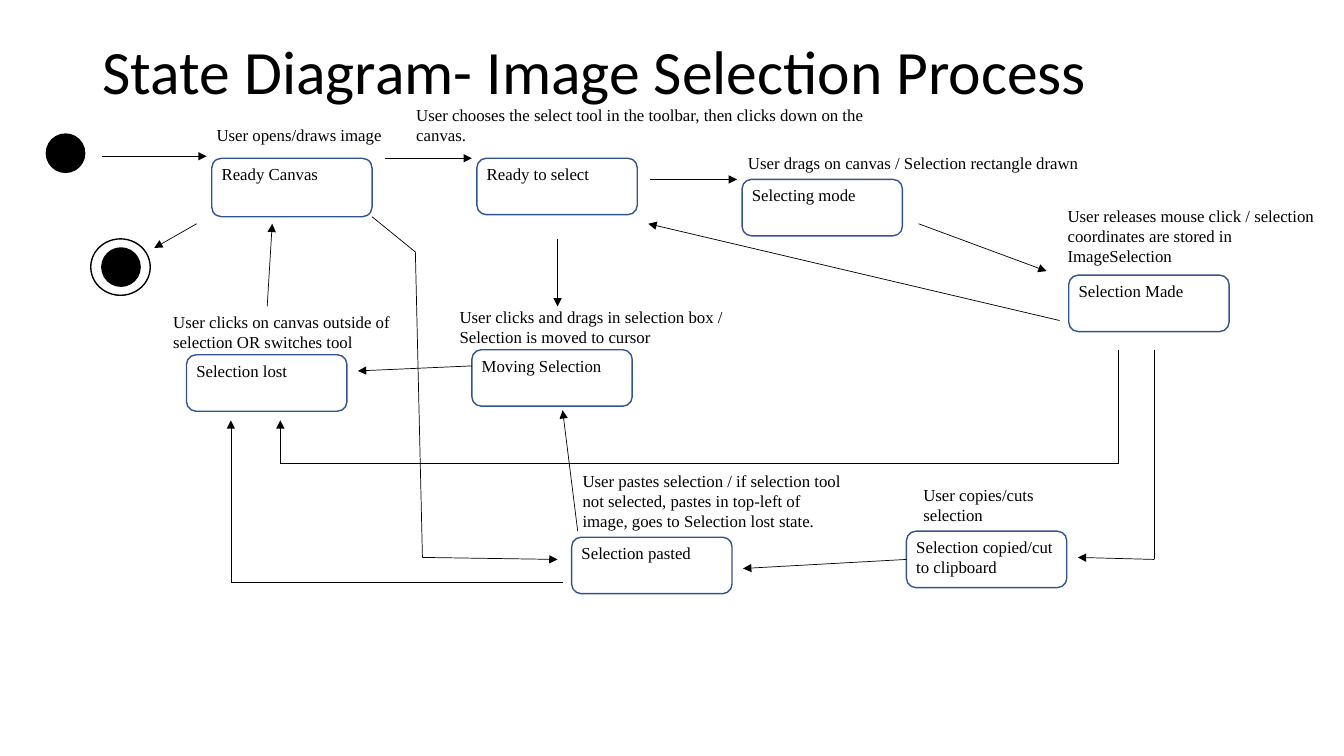
from lxml.etree import SubElement
from pptx import Presentation
from pptx.dml.color import RGBColor
from pptx.enum.shapes import MSO_CONNECTOR, MSO_SHAPE
from pptx.enum.text import MSO_ANCHOR, PP_ALIGN
from pptx.oxml.ns import qn
from pptx.util import Pt

PX = 9144  # 100 px to the inch
SIZE = (1333, 750)
THEME = {
    "ink": RGBColor(0, 0, 0),
    "edge": RGBColor(0x32, 0x54, 0x91),
    "head": {"name": "Calibri", "size": Pt(44)},
    "body": {"name": "Times New Roman", "size": Pt(12)},
    "thin": Pt(0.5),
    "line": Pt(1),
}

TITLE = ("State Diagram- Image Selection Process", (92, 0, 1150, 148))
WIDE, HIGH = 159, 56

# name: left, top
STATES = {
    "Ready Canvas": (210, 157),
    "Ready to select": (473, 157),
    "Selecting mode": (736, 178),
    "Selection Made": (1060, 273),
    "Moving Selection": (468, 347),
    "Selection lost": (185, 352),
    "Selection copied/cut to clipboard": (899, 527),
    "Selection pasted": (567, 533),
}
TALL = {"Ready Canvas": 58}

# text, left, top, width, height
LABELS = [
    ("User opens/draws image", 205, 119, 191, 30),
    ("User chooses the select tool in the toolbar, then clicks down on the canvas.",
     403, 99, 502, 50),
    ("User drags on canvas / Selection rectangle drawn", 732, 147, 358, 61),
    ("User releases mouse click / selection coordinates are stored in ImageSelection",
     1049, 199, 282, 101),
    ("User clicks and drags in selection box / Selection is moved to cursor",
     446, 299, 286, 50),
    ("User clicks on canvas outside of selection OR switches tool",
     162, 304, 286, 50),
    ("User copies/cuts selection", 906, 476, 174, 50),
    ("User pastes selection / if selection tool not selected, pastes in top-left "
     "of image, goes to Selection lost state.", 568, 462, 284, 71),
]

# left, top, width, height, filled
DOTS = [
    (46, 133, 38, 38, True),
    (101, 246, 38, 38, True),
    (90, 237, 59, 56, False),
]

# corner points; the arrowhead sits on the last one
ROUTES = [
    [(101, 155), (205, 155)],
    [(382, 157), (468, 157)],
    [(645, 178), (731, 178)],
    [(911, 222), (1038, 269)],
    [(195, 222), (153, 246)],
    [(1051, 318), (643, 222)],
    [(553, 237), (553, 304)],
    [(468, 363), (355, 368)],
    [(1109, 347), (1109, 460), (278, 460), (278, 417)],
    [(265, 304), (270, 222)],
    [(1145, 347), (1145, 555), (1069, 553)],
    [(573, 527), (558, 407)],
    [(369, 215), (412, 250), (419, 553), (553, 555)],
    [(558, 578), (229, 578), (229, 417)],
]
# state, side, end point
JOINED = ("Selection copied/cut to clipboard", 1, (737, 564))


def emu(*vals):
    return [v * PX for v in vals]


def write(shape, text, font, **frame):
    box = shape.text_frame
    for key, val in {"word_wrap": True, **frame}.items():
        setattr(box, key, val)
    para = box.paragraphs[0]
    para.alignment = PP_ALIGN.LEFT
    run = para.add_run()
    run.text = text
    for key, val in font.items():
        setattr(run.font, key, val)
    run.font.color.rgb = THEME["ink"]
    return para


def outline(shapes, kind, spot, edge, fill=None):
    """Add a shape with a plain line, filled only when a colour is given."""
    shape = shapes.add_shape(kind, *emu(*spot))
    shape.shadow.inherit = False
    shape.line.color.rgb = edge
    shape.line.width = THEME["line"]
    if fill is None:
        shape.fill.background()
    else:
        shape.fill.solid()
        shape.fill.fore_color.rgb = fill
    return shape


def link(shapes, start, end, arrow):
    line = shapes.add_connector(MSO_CONNECTOR.STRAIGHT, *emu(*start, *end))
    line.line.color.rgb = THEME["ink"]
    line.line.width = THEME["thin"]
    if arrow:
        SubElement(line.line._get_or_add_ln(), qn("a:tailEnd"), type="triangle")
    SubElement(line._element.spPr, qn("a:effectLst"))
    return line


def main():
    deck = Presentation()
    deck.slide_width, deck.slide_height = emu(*SIZE)
    shapes = deck.slides.add_slide(deck.slide_layouts[6]).shapes

    text, spot = TITLE
    head = shapes.add_textbox(*emu(*spot))
    para = write(head, text, THEME["head"], vertical_anchor=MSO_ANCHOR.MIDDLE)
    para.line_spacing = 0.9

    for *spot, full in DOTS:
        outline(shapes, MSO_SHAPE.OVAL, spot, THEME["ink"],
                THEME["ink"] if full else None)

    boxes = {}
    for name, (left, top) in STATES.items():
        spot = (left, top, WIDE, TALL.get(name, HIGH))
        box = outline(shapes, MSO_SHAPE.FLOWCHART_ALTERNATE_PROCESS, spot,
                      THEME["edge"])
        write(box, name, THEME["body"], vertical_anchor=MSO_ANCHOR.TOP,
              margin_left=7 * PX, margin_top=3 * PX, margin_right=0)
        boxes[name] = box

    for text, *spot in LABELS:
        write(shapes.add_textbox(*emu(*spot)), text, THEME["body"])

    for route in ROUTES:
        for start, end in zip(route, route[1:]):
            link(shapes, start, end, end == route[-1])

    name, side, end = JOINED
    link(shapes, STATES[name], end, True).begin_connect(boxes[name], side)

    deck.save("out.pptx")


if __name__ == "__main__":
    main()
